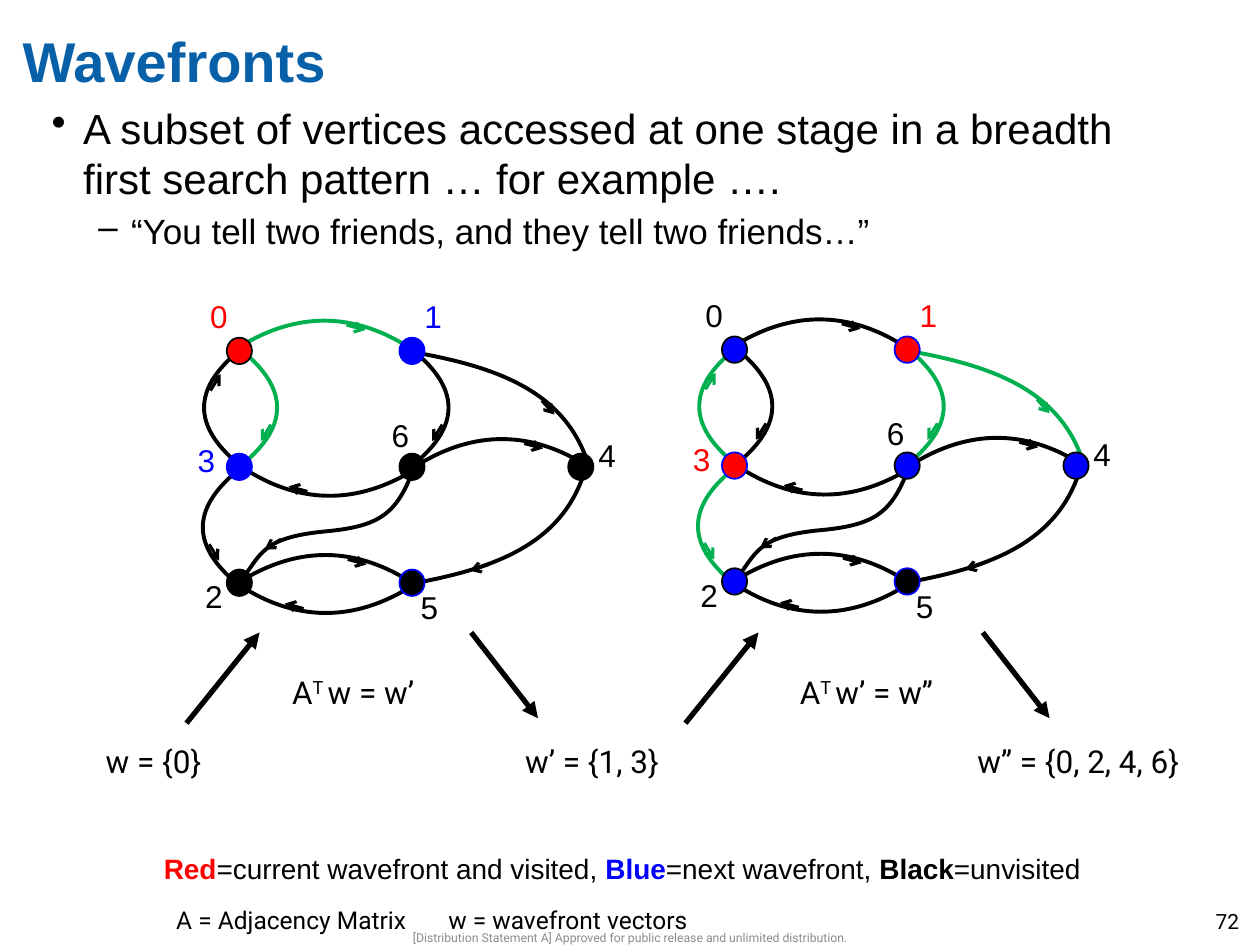
from pptx import Presentation
from pptx.dml.color import RGBColor
from pptx.enum.shapes import MSO_CONNECTOR as Connector, MSO_SHAPE as Shape
from pptx.enum.text import MSO_ANCHOR as Anchor, PP_ALIGN as Align
from pptx.oxml.ns import qn
from pptx.util import Inches, Pt
from lxml.etree import SubElement

COLORS = {"title": "0860A8", "black": "000000", "red": "FF0000",
          "blue": "0000FF", "green": "00B050", "gray": "8C8C8C"}

COLUMNS = (1.8, 3.17, 4.51)
ROWS = (2.68, 3.6, 4.52)
VERTICES = {0: (0, 0), 1: (1, 0), 2: (0, 2), 3: (0, 1), 4: (2, 1), 5: (1, 2), 6: (1, 1)}
LABELS = {0: (1.57, 2.31), 1: (3.27, 2.31), 2: (1.53, 4.53), 3: (1.47, 3.45),
          4: (4.65, 3.41), 5: (3.24, 4.62), 6: (3.01, 3.25)}
BLUE_RIMMED = {1, 3, 5}

SWEEP = [(0, 0), (0.66, 0.12), (1.2, 0.32), (1.37, 0.92)]
ARCS = {
    "side": ([(0, 0), (0.36, 0.3), (0.36, 0.59), (0, 0.89)], [(0.22, 0.58), (0.14, 0.71)]),
    "bow": ([(0, 0), (0.46, -0.29), (0.93, -0.29), (1.39, 0.02)], [(0.86, -0.18), (1.01, -0.14)]),
    "outward": (SWEEP, [(0.99, 0.38), (1.09, 0.49)]),
    "inward": (SWEEP, [(0.6, 0.15), (0.45, 0.1)]),
    "wave": ([(0, 0), (0.16, -0.2), (0.16, -0.34), (0.65, -0.39),
              (1.1, -0.43), (1.24, -0.52), (1.38, -0.91)], [(0.32, -0.33), (0.19, -0.25)]),
}
EDGES = [
    (3, "side", (1.89, 3.68), -1, -1),
    (0, "side", (1.93, 2.79), 1, 1),
    (0, "bow", (1.89, 2.76), 1, 1),
    (6, "wave", (1.91, 4.61), 1, 1),
    (6, "bow", (3.3, 3.7), 1, 1),
    (2, "bow", (1.9, 4.62), 1, 1),
    (5, "bow", (3.27, 4.65), -1, -1),
    (6, "bow", (3.3, 3.72), -1, -1),
    (3, "side", (1.88, 3.74), -1, 1),
    (1, "side", (3.29, 2.79), 1, 1),
    (4, "inward", (3.28, 4.63), 1, -1),
    (1, "outward", (3.31, 2.8), 1, 1),
]


def rgb(name):
    return RGBColor.from_string(COLORS[name])


class Painter:
    def __init__(self, slide):
        self.shapes = slide.shapes

    def stroke(self, line, color, width):
        line.color.rgb = rgb(color)
        line.width = Pt(width)

    def text(self, box, paragraphs, size, font="Arial", color="black", bold=False,
             inset=None, wrap=True, align=Align.LEFT, anchor=Anchor.TOP, into=None):
        frame = (into or self.shapes).add_textbox(*map(Inches, box)).text_frame
        frame.word_wrap = wrap
        frame.vertical_anchor = anchor
        if inset is not None:
            frame.margin_left = frame.margin_right = Inches(inset)
            frame.margin_top = frame.margin_bottom = Inches(inset)
        for index, content in enumerate(paragraphs):
            paragraph = frame.paragraphs[0] if index == 0 else frame.add_paragraph()
            paragraph.text = content
            paragraph.alignment = align
            self.font(paragraph, size, font, color, bold)
        return frame

    def font(self, paragraph, size, name, color, bold=False):
        paragraph.font.size = Pt(size)
        paragraph.font.name = name
        paragraph.font.color.rgb = rgb(color)
        paragraph.font.bold = bold

    def bullets(self, box, items):
        frame = self.text(box, [], 24, inset=0)
        for index, (content, size, mark, margin, hang) in enumerate(items):
            paragraph = frame.add_paragraph() if index else frame.paragraphs[0]
            paragraph.text = content
            paragraph.level = index
            if index:
                paragraph.space_before = Pt(size * 0.2)
            props = paragraph._p.get_or_add_pPr()
            props.set("marL", str(Inches(margin)))
            props.set("indent", str(-Inches(hang)))
            SubElement(props, qn("a:buChar"), char=mark)
            self.font(paragraph, size, "Arial", "black")

    def arrow(self, start, end, color="black", width=3, head="triangle", into=None):
        ends = map(Inches, (*start, *end))
        arrow = (into or self.shapes).add_connector(Connector.STRAIGHT, *ends)
        self.stroke(arrow.line, color, width)
        SubElement(arrow.line._get_or_add_ln(), qn("a:tailEnd"), type=head)
        SubElement(arrow._element.spPr, qn("a:effectLst"))

    def curve(self, points, color, into):
        start, *rest = [(Inches(x), Inches(y)) for x, y in points]
        builder = into.build_freeform(*start)
        builder.add_line_segments(rest, close=False)
        curve = builder.convert_to_shape()
        curve.shadow.inherit = False
        curve.fill.background()
        self.stroke(curve.line, color, 2.25)
        track = next(curve._element.iter(qn("a:path")))
        steps = track.findall(qn("a:lnTo"))
        for first in range(0, len(steps), 3):
            bezier = SubElement(track, qn("a:cubicBezTo"))
            for step in steps[first:first + 3]:
                bezier.append(step[0])
                track.remove(step)

    def vertex(self, corner, fill, rim, into):
        dot = into.add_shape(Shape.OVAL, *map(Inches, (*corner, 0.2, 0.21)))
        dot.shadow.inherit = False
        dot.fill.solid()
        dot.fill.fore_color.rgb = rgb(fill)
        self.stroke(dot.line, rim, 1)

    def graph(self, dx, dy, current, following, label_colors):
        group = self.shapes.add_group_shape().shapes
        for source, arc, (x, y), across, down in EDGES:
            color = "green" if source in current else "black"
            points, direction = [[(x + dx + across * u, y + dy + down * v) for u, v in part]
                                 for part in ARCS[arc]]
            self.arrow(*direction, color, 1.75, "arrow", group)
            self.curve(points, color, group)
        for number, (column, row) in VERTICES.items():
            fill = "red" if number in current else "blue" if number in following else "black"
            rim = "blue" if number in BLUE_RIMMED else "black"
            self.vertex((COLUMNS[column] + dx, ROWS[row] + dy), fill, rim, group)
            left, top = LABELS[number]
            self.text((left + dx, top + dy, 0.34, 0.4), [str(number)], 18,
                      color=label_colors.get(number, "black"), wrap=False, into=group)

    def product(self, left, equation):
        paragraph = self.text((left, 5.29, 1.44, 0.4), ["A"], 18, "Roboto").paragraphs[0]
        transpose = paragraph.add_run()
        transpose.text = "T "
        transpose._r.get_or_add_rPr().set("baseline", "30000")
        paragraph.add_run().text = equation

    def legend(self, box, entries):
        paragraph = self.text(box, [""], 16, inset=0).paragraphs[0]
        for color, meaning in entries:
            name = paragraph.add_run()
            name.text = color.capitalize()
            name.font.bold = True
            name.font.color.rgb = rgb(color)
            paragraph.add_run().text = meaning

    def notation(self, box, terms, tab):
        paragraph = self.text(box, [], 14, "Roboto").paragraphs[0]
        paragraph.text = "\t".join(terms)
        stops = SubElement(paragraph._p.get_or_add_pPr(), qn("a:tabLst"))
        SubElement(stops, qn("a:tab"), pos=str(Inches(tab)), algn="l")
        self.font(paragraph, 14, "Roboto", "black")


def main():
    deck = Presentation()
    deck.slide_width, deck.slide_height = Inches(10), Inches(7.5)
    painter = Painter(deck.slides.add_slide(deck.slide_layouts[6]))

    painter.text((2.86, 7.38, 4.28, 0.12),
                 ["[Distribution Statement A] Approved for public release and unlimited distribution."],
                 7, "Roboto", "gray", inset=0, align=Align.CENTER, anchor=Anchor.MIDDLE)
    painter.text((0.18, 0.21, 9.01, 0.97), ["Wavefronts"], 32, color="title", bold=True, inset=0)
    painter.bullets((0.41, 0.81, 9.01, 1.4), [
        ("A subset of vertices accessed at one stage in a breadth first search pattern … for example ….",
         24, "•", 0.25, 0.25),
        ("“You tell two friends, and they tell two friends…”", 20, "–", 0.63, 0.26)])
    painter.text((9.55, 7.16, 0.45, 0.33), ["72"], 12, "Roboto")

    painter.graph(0, 0, {0}, {1, 3}, {0: "red", 1: "blue", 3: "blue"})
    painter.graph(3.93, -0.01, {1, 3}, {0, 2, 4, 6}, {1: "red", 3: "red"})

    for left, width, wavefront in [(0.74, 1.11, "w = {0}"), (4.07, 1.5, "w’ = {1, 3}"),
                                   (7.66, 2.14, "w’’ = {0, 2, 4, 6}")]:
        painter.text((left, 5.84, width, 0.4), [wavefront], 18, "Roboto", wrap=False)
    for left in (1.48, 5.44):
        painter.arrow((left, 5.74), (left + 0.58, 5.02))
    for left in (3.74, 7.8):
        painter.arrow((left, 5.02), (left + 0.53, 5.7))
    painter.product(2.22, "w = w’")
    painter.product(6.25, "w’ = w’’")

    painter.legend((1.3, 6.76, 7.86, 0.25), [("red", "=current wavefront and visited, "),
                                             ("blue", "=next wavefront, "),
                                             ("black", "=unvisited")])
    painter.notation((1.3, 7.13, 7.15, 0.34),
                     ["A = Adjacency Matrix", "w = wavefront vectors"], 2.16)
    deck.save("out.pptx")


if __name__ == "__main__":
    main()
